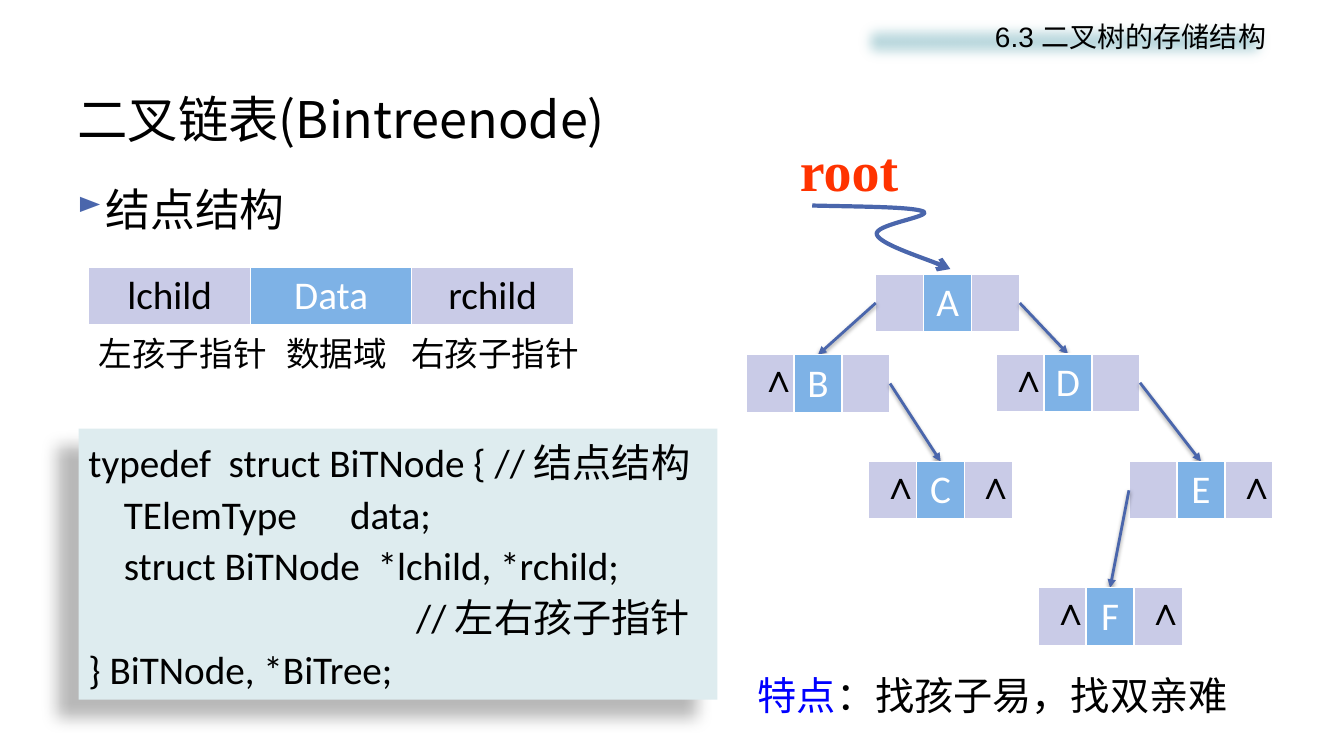
from dataclasses import dataclass
from typing import NamedTuple, Optional

from lxml.etree import SubElement
from pptx import Presentation
from pptx.dml.color import RGBColor
from pptx.enum.shapes import MSO_CONNECTOR as Connector, MSO_SHAPE as Preset
from pptx.enum.text import MSO_ANCHOR as Anchor, MSO_AUTO_SIZE as AutoSize, PP_ALIGN as Align
from pptx.oxml.ns import qn
from pptx.util import Cm, Pt


@dataclass(frozen=True)
class Theme:
    ink: str = "000000"
    paper: str = "FFFFFF"
    accent: str = "4A66AC"
    pointer: str = "C9CBE7"
    data: str = "7EB2E6"
    code: str = "DEECEF"
    banner: str = "BDDADF"
    root: str = "FF3300"
    feature: str = "0000FF"
    han: str = "Noto Sans CJK SC"
    latin: str = "Calibri"
    sans: str = "Arial"
    serif: str = "Times New Roman"
    root_size: int = 40
    title_size: int = 36
    topic_size: int = 32
    body_size: int = 28
    caption_size: int = 24
    banner_size: int = 20


THEME = Theme()


class Span(NamedTuple):
    text: str
    size: int
    font: str = THEME.han
    color: str = THEME.ink
    bold: bool = False


class Label(NamedTuple):
    left: float
    top: float
    width: float
    height: float
    spans: tuple[Span, ...]
    format: dict = {}


class Node(NamedTuple):
    left: float
    top: float
    left_child: Optional[str] = None
    right_child: Optional[str] = None


class Shadow(NamedTuple):
    alpha: int
    blur: float
    distance: float
    angle: int


FIELD_WIDTH, NODE_FIELD_WIDTH, ROW_HEIGHT = 4.07, 1.21, 1.45
NODE_WIDTH = 3 * NODE_FIELD_WIDTH
MARK_WIDTH, MARK_TOP = 1.12, -0.15
MARK_LEFT, MARK_RIGHT = 0.08, 2.48

GROW = {"auto_size": AutoSize.SHAPE_TO_FIT_TEXT}
GROW_UNWRAPPED = {**GROW, "word_wrap": False}

TITLE = Label(1.7, 2.03, 30.48, 1.9, (Span("二叉链表(Bintreenode)", THEME.title_size),),
              {"vertical_anchor": Anchor.MIDDLE})
TOPIC = Label(1.7, 4.45, 16.79, 2.29, (Span("结点结构", THEME.topic_size),))
BANNER = Span("6.3 二叉树的存储结构", THEME.banner_size, THEME.sans)
ROOT = Label(19.91, 3.3, 3.18, 1.96,
             (Span("root", THEME.root_size, THEME.serif, THEME.root, True),), GROW)
FEATURE = Label(18.85, 16.79, 12.47, 1.45,
                (Span("特点", THEME.body_size, THEME.sans, THEME.feature),
                 Span("：找孩子易，找双亲难", THEME.body_size, THEME.sans)), GROW_UNWRAPPED)
CAPTIONS = [Label(left, 8.26, width, 1.27, (Span(text, THEME.caption_size),), GROW)
            for text, left, width in (("左孩子指针", 2.24, 4.9), ("数据域", 6.96, 3.33),
                                      ("右孩子指针", 10.11, 4.9))]
CODE = (
    "typedef  struct BiTNode { // 结点结构",
    "    TElemType      data;",
    "    struct BiTNode  *lchild, *rchild;",
    "                                     // 左右孩子指针",
    "} BiTNode, *BiTree;",
)
TREE = {
    "A": Node(22.07, 6.91, "B", "D"),
    "B": Node(18.8, 8.94, None, "C"),
    "C": Node(21.89, 11.63),
    "D": Node(25.1, 8.92, None, "E"),
    "E": Node(28.45, 11.63, "F"),
    "F": Node(26.16, 14.81),
}
ROOT_CURVE = ((20.47, 5.18), (21.72, 5.21), (22.99, 5.21), (23.27, 5.33), (23.52, 5.46),
              (21.97, 5.66), (22.1, 5.92), (22.2, 6.15), (23.65, 6.63), (23.95, 6.78))


def apply(target, values: dict) -> None:
    for name, value in values.items():
        setattr(target, name, value)


def add_span(para, span: Span) -> None:
    run = para.add_run()
    run.text = span.text
    apply(run.font, {"size": Pt(span.size), "name": span.font, "bold": span.bold})
    run.font.color.rgb = RGBColor.from_string(span.color)
    SubElement(run.font._element, qn("a:ea"), typeface=THEME.han)


def add_label(page, label: Label):
    box = page.shapes.add_textbox(*map(Cm, label[:4]))
    apply(box.text_frame, {"word_wrap": True, **label.format})
    para = box.text_frame.paragraphs[0]
    for span in label.spans:
        add_span(para, span)
    return para


def add_bullet(para) -> None:
    props = para._p.get_or_add_pPr()
    apply_indent = {"marL": str(Cm(0.71)), "indent": str(-Cm(0.71))}
    for name, value in apply_indent.items():
        props.set(name, value)
    SubElement(SubElement(props, qn("a:buClr")), qn("a:srgbClr"), val=THEME.accent)
    SubElement(props, qn("a:buSzPct"), val="70000")
    SubElement(props, qn("a:buChar"), char="►")


def add_shadow(shape, shadow: Shadow) -> None:
    effects = SubElement(shape._element.spPr, qn("a:effectLst"))
    outer = SubElement(effects, qn("a:outerShdw"), blurRad=str(Pt(shadow.blur)),
                       dist=str(Pt(shadow.distance)), dir=str(shadow.angle * 60000),
                       algn="ctr", rotWithShape="0")
    color = SubElement(outer, qn("a:srgbClr"), val=THEME.ink)
    SubElement(color, qn("a:alpha"), val=str(shadow.alpha * 1000))


def add_panel(page, left: float, top: float, width: float, height: float, color: str):
    panel = page.shapes.add_shape(Preset.RECTANGLE, Cm(left), Cm(top), Cm(width), Cm(height))
    panel.fill.solid()
    panel.fill.fore_color.rgb = RGBColor.from_string(color)
    panel.line.fill.background()
    apply(panel.text_frame, {"word_wrap": True, "vertical_anchor": Anchor.TOP})
    return panel


def add_banner(page) -> None:
    banner = add_panel(page, 21.49, 0.36, 10.67, 1.37, THEME.banner)
    effects = SubElement(banner._element.spPr, qn("a:effectLst"))
    SubElement(effects, qn("a:softEdge"), rad=str(Pt(10)))
    para = banner.text_frame.paragraphs[0]
    para.alignment = Align.RIGHT
    add_span(para, BANNER)


def add_code(page) -> None:
    panel = add_panel(page, 1.98, 10.8, 16.1, 6.83, THEME.code)
    add_shadow(panel, Shadow(28, 11.8, 19.7, 141))
    frame = panel.text_frame
    for index, line in enumerate(CODE):
        para = frame.add_paragraph() if index else frame.paragraphs[0]
        apply(para, {"alignment": Align.LEFT, "line_spacing": 1.1})
        add_span(para, Span(line, THEME.body_size, THEME.latin))


def add_fields(page, left: float, top: float, width: float, texts: tuple[str, str, str]) -> None:
    frame = page.shapes.add_table(1, 3, Cm(left), Cm(top), Cm(3 * width), Cm(ROW_HEIGHT))
    table = frame.table
    apply(table, {"first_row": False, "horz_banding": False})
    looks = ((THEME.pointer, THEME.ink), (THEME.data, THEME.paper), (THEME.pointer, THEME.ink))
    for column, cell, text, (fill, ink) in zip(table.columns, table.rows[0].cells, texts, looks):
        column.width = Cm(width)
        cell.vertical_anchor = Anchor.MIDDLE
        cell.fill.solid()
        cell.fill.fore_color.rgb = RGBColor.from_string(fill)
        props = cell._tc.get_or_add_tcPr()
        for index, side in enumerate(("a:lnL", "a:lnR", "a:lnT", "a:lnB")):
            border = SubElement(props, qn(side), w=str(Pt(1)))
            SubElement(SubElement(border, qn("a:solidFill")), qn("a:srgbClr"), val=THEME.paper)
            props.insert(index, border)
        if text:
            para = cell.text_frame.paragraphs[0]
            para.alignment = Align.CENTER
            add_span(para, Span(text, THEME.body_size, THEME.latin, ink))


def style_arrow(line, width: float, head: str) -> None:
    line.color.rgb = RGBColor.from_string(THEME.accent)
    line.width = Pt(width)
    SubElement(line._get_or_add_ln(), qn("a:tailEnd"), type=head)


def add_root_curve(page) -> None:
    start, *points = [(Cm(x), Cm(y)) for x, y in ROOT_CURVE]
    builder = page.shapes.build_freeform(*start)
    builder.add_line_segments(points, close=False)
    curve = builder.convert_to_shape()
    curve.shadow.inherit = False
    curve.fill.background()
    style_arrow(curve.line, 3, "arrow")
    outline = next(curve._element.iter(qn("a:path")))
    steps = outline.findall(qn("a:lnTo"))
    for index in range(0, len(steps), 3):
        bend = SubElement(outline, qn("a:cubicBezTo"))
        for step in steps[index:index + 3]:
            bend.append(step[0])
            outline.remove(step)


def add_node(page, name: str, node: Node) -> None:
    add_fields(page, node.left, node.top, NODE_FIELD_WIDTH, ("", name, ""))
    mark = Span("∧", THEME.body_size, THEME.serif, bold=True)
    sides = ((node.left_child, 0, MARK_LEFT), (node.right_child, NODE_WIDTH, MARK_RIGHT))
    for child, edge, offset in sides:
        if child is None:
            add_label(page, Label(node.left + offset, node.top + MARK_TOP, MARK_WIDTH,
                                  ROW_HEIGHT, (mark,), GROW_UNWRAPPED))
            continue
        target = TREE[child]
        link = page.shapes.add_connector(
            Connector.STRAIGHT, Cm(node.left + edge), Cm(node.top + ROW_HEIGHT / 2),
            Cm(target.left + NODE_WIDTH / 2), Cm(target.top))
        style_arrow(link.line, 2, "triangle")
        add_shadow(link, Shadow(38, 3.1, 1.6, 90))


def main() -> None:
    deck = Presentation()
    apply(deck, {"slide_width": Cm(33.87), "slide_height": Cm(19.05)})
    page = deck.slides.add_slide(deck.slide_layouts[6])
    add_label(page, TITLE)
    add_bullet(add_label(page, TOPIC))
    add_banner(page)
    add_fields(page, 2.24, 6.73, FIELD_WIDTH, ("lchild", "Data", "rchild"))
    for label in (*CAPTIONS, ROOT, FEATURE):
        add_label(page, label)
    add_code(page)
    add_root_curve(page)
    for name, node in TREE.items():
        add_node(page, name, node)
    deck.save("out.pptx")


if __name__ == "__main__":
    main()
